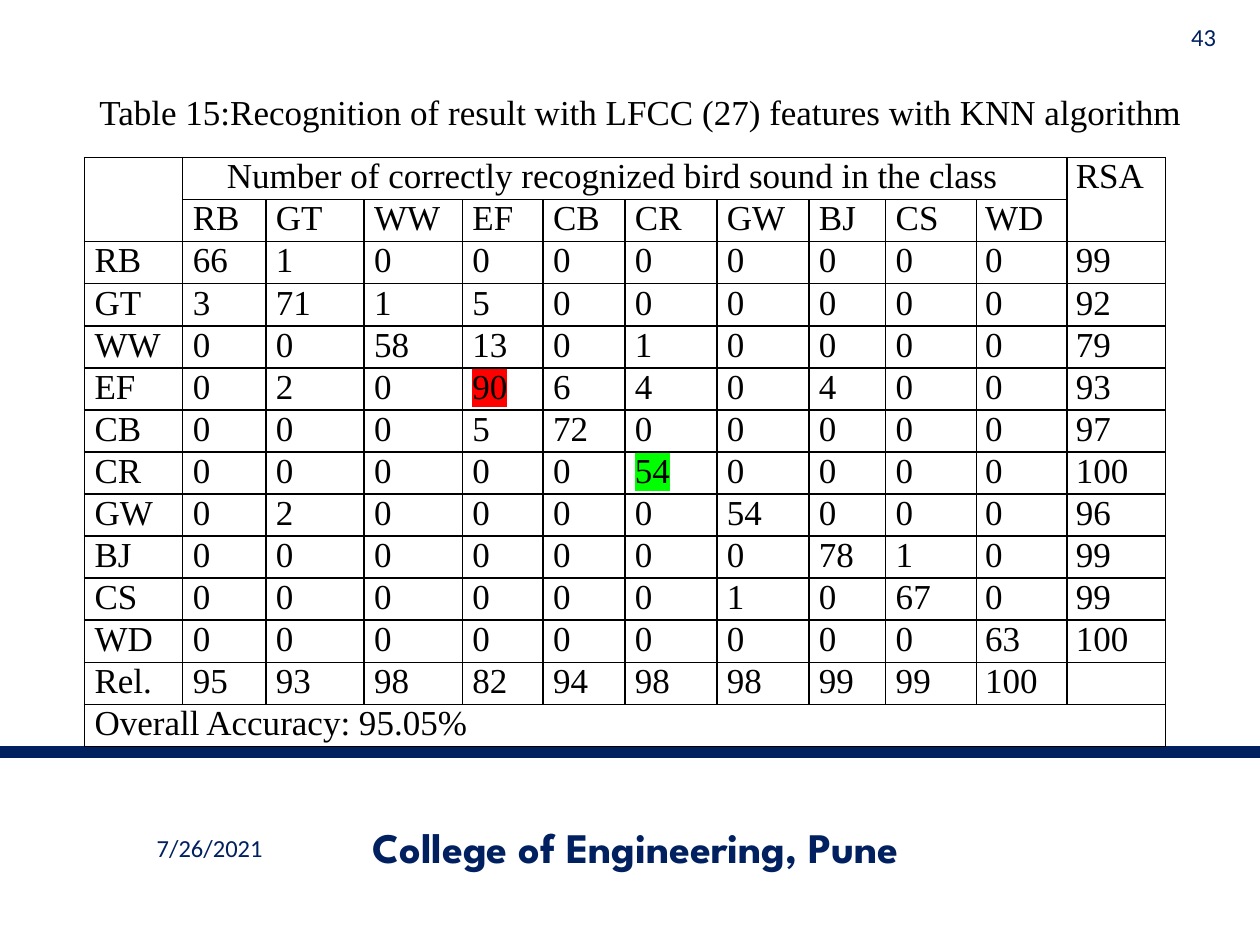
import pptx
import pptx.util
import pptx.dml.color
import pptx.enum.shapes
import pptx.enum.text
import pptx.oxml.ns
from lxml import etree

Inches, Pt = pptx.util.Inches, pptx.util.Pt
ALIGN, ANCHOR = pptx.enum.text.PP_ALIGN, pptx.enum.text.MSO_ANCHOR
qn = pptx.oxml.ns.qn
NAVY, BLACK = "002060", "000000"
SERIF = "Times New Roman"

SPECIES = "RB GT WW EF CB CR GW BJ CS WD".split()
RESULTS = [
    [66, 1, 0, 0, 0, 0, 0, 0, 0, 0, 99],
    [3, 71, 1, 5, 0, 0, 0, 0, 0, 0, 92],
    [0, 0, 58, 13, 0, 1, 0, 0, 0, 0, 79],
    [0, 2, 0, 90, 6, 4, 0, 4, 0, 0, 93],
    [0, 0, 0, 5, 72, 0, 0, 0, 0, 0, 97],
    [0, 0, 0, 0, 0, 54, 0, 0, 0, 0, 100],
    [0, 2, 0, 0, 0, 0, 54, 0, 0, 0, 96],
    [0, 0, 0, 0, 0, 0, 0, 78, 1, 0, 99],
    [0, 0, 0, 0, 0, 0, 1, 0, 67, 0, 99],
    [0, 0, 0, 0, 0, 0, 0, 0, 0, 63, 100],
]
RELIABILITY = [95, 93, 98, 82, 94, 98, 98, 99, 99, 100]
COL_WIDTHS = [0.78, 0.66, 0.78, 0.78, 0.64, 0.65, 0.73, 0.73, 0.61, 0.72, 0.72, 0.78]
HIGHLIGHTS = {(5, 4): "FF0000", (7, 6): "00FF00"}


def rgb(color):
    return pptx.dml.color.RGBColor.from_string(color)


def style(p, size, name, color, bold=False):
    p.font.size, p.font.name, p.font.bold = Pt(size), name, bold
    p.font.color.rgb = rgb(color)


def place(shape, box):
    shape.left, shape.top, shape.width, shape.height = map(Inches, box)


def add_label(s, box, text, size, name, align, bold=False):
    tf = s.shapes.add_textbox(*map(Inches, box)).text_frame
    tf.word_wrap = True
    tf.vertical_anchor = ANCHOR.MIDDLE
    p = tf.paragraphs[0]
    p.text, p.alignment = text, align
    style(p, size, name, NAVY, bold)


def add_caption(s, box, text):
    title = s.shapes.title
    place(title, box)
    tf = title.text_frame
    tf.word_wrap = True
    tf.auto_size = pptx.enum.text.MSO_AUTO_SIZE.NONE
    tf.vertical_anchor = ANCHOR.TOP
    p = tf.paragraphs[0]
    p.text, p.alignment = text, ALIGN.CENTER
    style(p, 20, SERIF, BLACK)


def add_rule(s, y, width):
    line = s.shapes.add_connector(pptx.enum.shapes.MSO_CONNECTOR.STRAIGHT,
                                  0, Inches(y), Inches(width), Inches(y))
    line.line.color.rgb = rgb(NAVY)
    line.line.width = Pt(6.5)
    etree.SubElement(line._element.spPr, qn("a:effectLst"))


def border_cell(cell):
    tcPr = cell._tc.get_or_add_tcPr()
    for side in "LRTB":
        ln = etree.SubElement(tcPr, qn(f"a:ln{side}"), w=str(Pt(1)))
        fill = etree.SubElement(ln, qn("a:solidFill"))
        etree.SubElement(fill, qn("a:srgbClr"), val=BLACK)
    cell.fill.background()


def fill_cell(cell, text, indent=0.08, highlight=None):
    p = cell.text_frame.paragraphs[0]
    p._p.get_or_add_pPr().set("marL", str(Inches(indent)))
    style(p, 20, SERIF, BLACK)
    r = p.add_run()
    r.text = str(text)
    if highlight:
        mark = etree.SubElement(r._r.get_or_add_rPr(), qn("a:highlight"))
        etree.SubElement(mark, qn("a:srgbClr"), val=highlight)


def add_results_table(s, box):
    heading = "Number of correctly recognized bird sound in the class"
    rows = [["", heading] + [""] * 9 + ["RSA"], [""] + SPECIES + [""]]
    rows += [[name] + values for name, values in zip(SPECIES, RESULTS)]
    rows += [["Rel."] + RELIABILITY + [""], ["Overall Accuracy: 95.05%"] + [""] * 11]
    table = s.shapes.add_table(len(rows), len(COL_WIDTHS), *map(Inches, box)).table
    table.first_row = table.horz_banding = False
    for column, width in zip(table.columns, COL_WIDTHS):
        column.width = Inches(width)

    # Cell text, margins and borders
    for i, row in enumerate(rows):
        for j, value in enumerate(row):
            cell = table.cell(i, j)
            cell.margin_left = cell.margin_right = cell.margin_top = cell.margin_bottom = 0
            border_cell(cell)
            if value != "":
                indent = 0.35 if value == heading else 0.07 if j > 9 else 0.08
                fill_cell(cell, value, indent, HIGHLIGHTS.get((i, j)))

    # Spanning cells: corner, heading, RSA, overall accuracy
    last = len(rows) - 1
    for first, end in [((0, 0), (1, 0)), ((0, 1), (0, 10)),
                       ((0, 11), (1, 11)), ((last, 0), (last, 11))]:
        table.cell(*first).merge(table.cell(*end))


def add_page_furniture(s):
    add_rule(s, 5.97, 10)
    add_label(s, (0.5, 6.53, 2.33, 0.4), "7/26/2021", 14, "Calibri", ALIGN.CENTER)
    add_label(s, (2.42, 6.52, 5.25, 0.4), "College of Engineering, Pune", 24,
              "League Spartan", ALIGN.CENTER, bold=True)
    add_label(s, (9.25, 0.15, 0.5, 0.28), "43", 14, "Calibri", ALIGN.RIGHT)


def main():
    prs = pptx.Presentation()
    prs.slide_width, prs.slide_height = Inches(10), Inches(7.5)
    s = prs.slides.add_slide(prs.slide_layouts[5])
    add_page_furniture(s)
    add_caption(s, (0.5, 0.67, 9.17, 0.44),
                "Table 15:Recognition of result with LFCC (27) features with KNN algorithm")
    add_results_table(s, (0.67, 1.25, 8.58, 4.67))
    prs.save("out.pptx")


if __name__ == "__main__":
    main()
